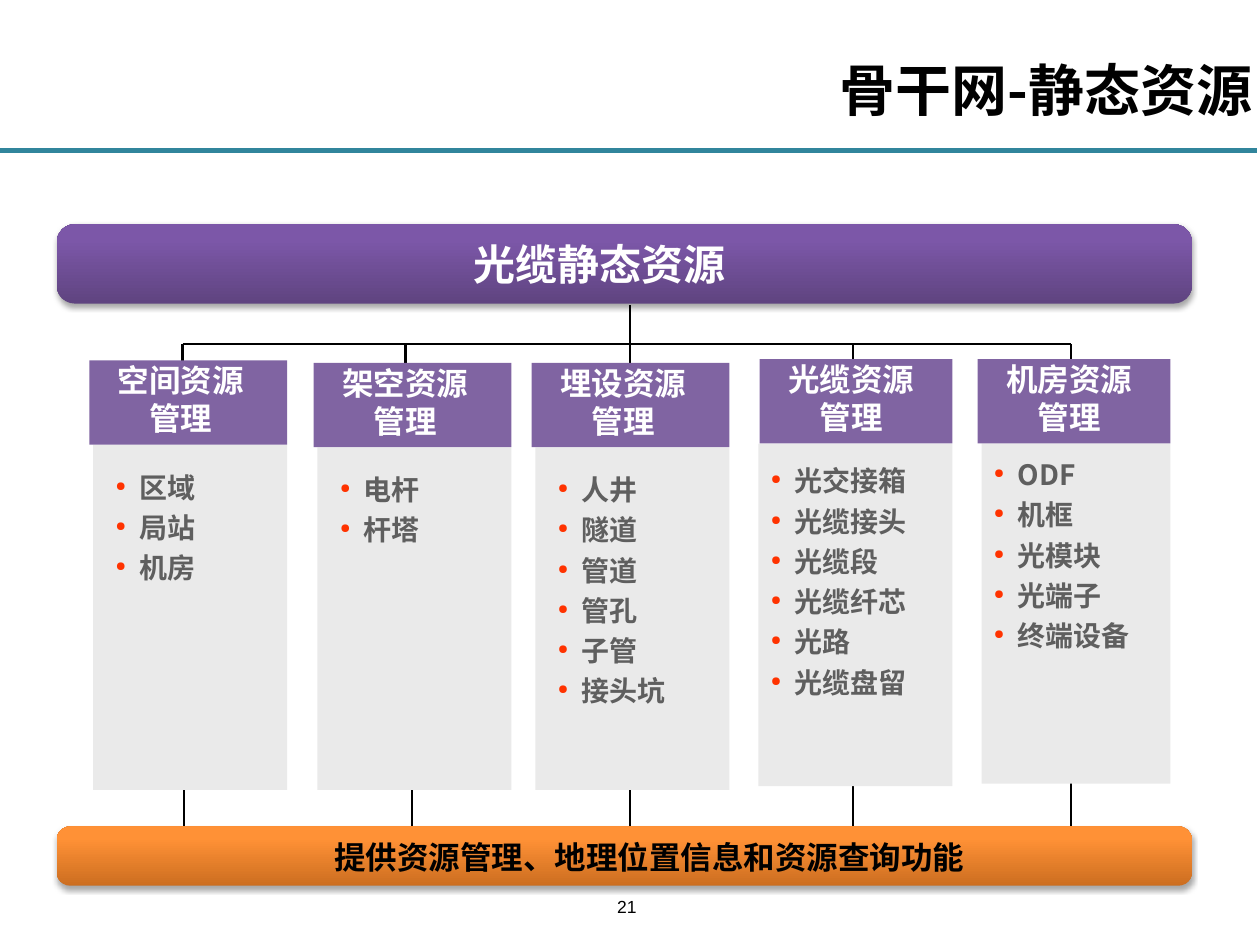
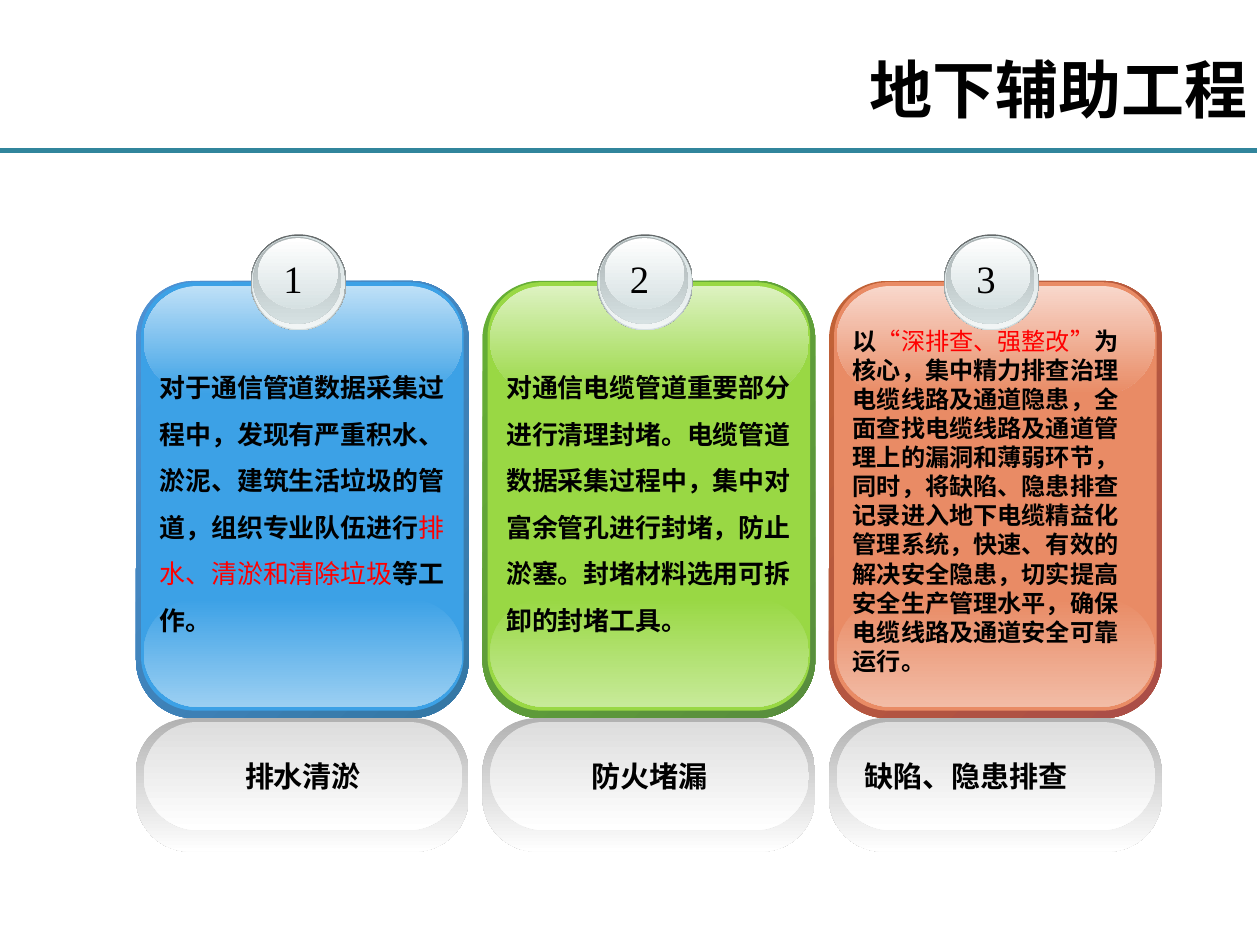
"""Build two slides on cable network assets and underground works."""
import dataclasses

import lxml.etree
import pptx
import pptx.dml.color
import pptx.enum.shapes
import pptx.enum.text
import pptx.oxml
import pptx.oxml.ns
import pptx.util

Inches = pptx.util.Inches
Pt = pptx.util.Pt
Kind = pptx.enum.shapes.MSO_SHAPE
Align = pptx.enum.text.PP_ALIGN
Anchor = pptx.enum.text.MSO_ANCHOR
qn = pptx.oxml.ns.qn


@dataclasses.dataclass(frozen=True)
class Theme:
    sans: str = "Noto Sans CJK SC"
    serif: str = "Times New Roman"
    plain: str = "Arial"
    black: str = "000000"
    white: str = "FFFFFF"
    red: str = "FF0000"
    rule: str = "31859C"
    head: str = "8064A2"
    body: str = "EAEAEA"
    item: str = "5F5F5F"
    dot: str = "FF3300"
    purple: tuple = ("5F4480", "7C57A8")
    orange: tuple = ("CC6E20", "FF9136")
    foot_rim: tuple = ("B2B2B2", "FFFFFF")
    foot_face: tuple = ("DDDDDD", "FFFFFF")
    bar_size: float = 24
    head_size: float = 18
    item_size: float = 16
    page_size: float = 10
    ball_size: float = 22.1
    foot_size: float = 16.6
    leading: float = 1.2


def tint(code):
    return pptx.dml.color.RGBColor.from_string(code)


def sub(parent, tag, **attrs):
    return lxml.etree.SubElement(parent, qn(tag), attrs)


def write(frame, text, size=18, color=Theme.black, bold=False, font=Theme.sans,
          align=Align.LEFT, anchor=Anchor.TOP, leading=None, dot=None, inset=(0.1, 0.05)):
    frame.word_wrap = True
    frame.auto_size = pptx.enum.text.MSO_AUTO_SIZE.NONE
    frame.vertical_anchor = anchor
    frame.margin_left = frame.margin_right = Inches(inset[0])
    frame.margin_top = frame.margin_bottom = Inches(inset[1])
    lines = [text] if isinstance(text, str) else text
    for index, line in enumerate(lines):
        para = frame.add_paragraph() if index else frame.paragraphs[0]
        para.alignment = align
        if leading:
            para.line_spacing = Pt(round(size * leading, 1))
        if dot:
            props = para._p.get_or_add_pPr()
            props.set("marL", str(Inches(0.19)))
            props.set("indent", str(-Inches(0.19)))
            sub(sub(props, "a:buClr"), "a:srgbClr", val=dot)
            sub(props, "a:buSzPct", val="47000")
            sub(props, "a:buChar", char="●")
        parts = [(line, color, bold)] if isinstance(line, str) else line
        for words, shade, heavy in parts:
            run = para.add_run()
            run.text = words
            run.font.size = Pt(size)
            run.font.bold = heavy
            run.font.name = font
            run.font.color.rgb = tint(shade)
            sub(run._r.get_or_add_rPr(), "a:ea", typeface=Theme.sans)


class Deck:
    def __init__(self):
        self.theme = Theme()
        self.file = pptx.Presentation()
        self.file.slide_width = Inches(10)
        self.file.slide_height = Inches(7.5)
        self.slide = None

    def start(self, title, box, size):
        self.slide = self.file.slides.add_slide(self.file.slide_layouts[5])
        self.line((0, 1.195), (9.98, 1.195), self.theme.rule, 3)
        holder = self.slide.shapes.title
        holder.left, holder.top, holder.width, holder.height = map(Inches, box)
        write(holder.text_frame, title, size=size, bold=True,
              align=Align.RIGHT, anchor=Anchor.MIDDLE)

    def line(self, begin, end, color=Theme.black, width=1.5):
        link = self.slide.shapes.add_connector(
            pptx.enum.shapes.MSO_CONNECTOR.STRAIGHT, *map(Inches, begin + end))
        link.line.color.rgb = tint(color)
        link.line.width = Pt(width)
        sub(link._element.spPr, "a:effectLst")

    def shape(self, box, fill, kind=Kind.RECTANGLE, curve=None, angle=90, reach=1):
        form = self.slide.shapes.add_shape(kind, *map(Inches, box))
        form.shadow.inherit = False
        form.line.fill.background()
        if curve is not None:
            form.adjustments[0] = curve
        if isinstance(fill, str):
            form.fill.solid()
            form.fill.fore_color.rgb = tint(fill)
        else:
            form.fill.gradient()
            form.fill.gradient_angle = 360 - angle
            for stop, color, place in zip(form.fill.gradient_stops, fill, (0, reach)):
                stop.color.rgb = tint(color)
                stop.position = place
        return form

    def text(self, box, words, **style):
        area = self.slide.shapes.add_textbox(*map(Inches, box))
        write(area.text_frame, words, **style)

    def bar(self, top, height, fill):
        form = self.shape((0.45, top, 9.01, height), fill, Kind.ROUNDED_RECTANGLE,
                          0.228, angle=270, reach=0.8)
        glow = sub(form._element.spPr.find(qn("a:effectLst")), "a:outerShdw",
                   blurRad=str(Pt(3.1)), dist=str(Pt(1.8)), dir="5400000", rotWithShape="0")
        sub(sub(glow, "a:srgbClr", val=self.theme.black), "a:alpha", val="35000")

    def column(self, name, items, left, top, wide, body, foot, pad, start):
        theme = self.theme
        base = top + 0.67
        edge = left + wide - body
        self.shape((edge, base, body, foot - base), theme.body)
        self.text((edge + pad, start, 1.48, 0.1 + 0.32 * len(items)), items,
                  size=theme.item_size, color=theme.item, bold=True,
                  leading=1.2 * theme.leading, dot=theme.dot)
        self.shape((left, top, wide, 0.67), theme.head)
        self.text((left + 0.04, top - 0.04, 1.37, 0.7), name, size=theme.head_size,
                  color=theme.white, bold=True, align=Align.CENTER, leading=theme.leading)

    def ball(self, left, digit):
        theme = self.theme
        rings = (
            (0.91, 1.86, 0.76, 0.76, "636869", "D6E1E2"),
            (0.92, 1.87, 0.74, 0.74, "D6E1E2", "F1F5F5"),
            (0.93, 1.88, 0.7, 0.69, "AAB2B3", "D6E1E2"),
            (0.97, 1.89, 0.63, 0.56, "FFFFFF", "D6E1E2"),
        )
        for shift, top, wide, high, *fill in rings:
            self.shape((left + shift, top, wide, high), fill, Kind.OVAL)
        self.text((left + 1.07, 1.97, 0.36, 0.54), str(digit),
                  size=theme.ball_size, font=theme.serif)

    def panel(self, left, digit, label, words, hues, top, size, leading, align):
        theme = self.theme
        rim, face, low, high = hues
        layers = (
            ((0, 2.23, 2.64, 3.47), rim, 0.175, 45),
            ((0.04, 2.24, 2.56, 3.4), face, 0.167, 90),
            ((0.06, 4.75, 2.53, 0.86), (face, low), 0.5, 90),
            ((0.06, 2.27, 2.53, 0.86), (high, face), 0.5, 90),
            ((0, 5.7, 2.64, 1.06), theme.foot_rim, 0.404, 90),
            ((0.06, 5.73, 2.53, 0.86), theme.foot_face, 0.5, 90),
        )
        for (shift, *rest), fill, curve, angle in layers:
            form = self.shape((left + shift, *rest), fill, Kind.ROUNDED_RECTANGLE, curve, angle)
        write(form.text_frame, label, size=theme.foot_size, font=theme.serif, bold=True,
              align=align, anchor=Anchor.MIDDLE)
        self.ball(left, digit)
        self.text((left + 0.09, top, 2.47, 5.6 - top), [words], size=size,
                  font=theme.serif, bold=True, leading=leading * theme.leading)


def assets(deck):
    theme = deck.theme
    deck.start("骨干网-静态资源", (2.44, 0.01, 7.6, 1.39), 32)
    deck.text((4.05, 7.03, 1.85, 0.3), "21", size=theme.page_size, font=theme.plain,
              align=Align.CENTER, anchor=Anchor.BOTTOM)
    deck.line((1.45, 2.73), (8.5, 2.73))
    deck.line((5, 2.42), (5, 2.73))
    for upper, lower in ((1.45, 1.46), (3.22, 3.27), (5, 5), (6.77, 6.77), (8.5, 8.5)):
        deck.line((upper, 2.73), (upper, 3.1))
        deck.line((lower, 6.2), (lower, 6.58))
    deck.bar(1.78, 0.63, theme.purple)
    deck.bar(6.56, 0.47, theme.orange)
    label = dict(bold=True, align=Align.CENTER, anchor=Anchor.MIDDLE, inset=(0.07, 0.04))
    deck.text((1.44, 1.85, 6.64, 0.49), "光缆静态资源", size=theme.bar_size,
              color=theme.white, **label)
    deck.text((2.24, 6.62, 5.83, 0.37), "提供资源管理、地理位置信息和资源查询功能",
              size=theme.head_size, **label)
    columns = (
        ("空间资源管理", ["区域", "局站", "机房"],
         0.71, 2.86, 1.57, 1.54, 6.27, 0.08, 3.63),
        ("架空资源管理", ["电杆", "杆塔"],
         2.49, 2.88, 1.57, 1.54, 6.27, 0.08, 3.65),
        ("埋设资源管理", ["人井", "隧道", "管道", "管孔", "子管", "接头坑"],
         4.22, 2.88, 1.57, 1.54, 6.27, 0.08, 3.65),
        ("光缆资源管理", ["光交接箱", "光缆接头", "光缆段", "光缆纤芯", "光路", "光缆盘留"],
         6.03, 2.85, 1.53, 1.54, 6.24, 0, 3.58),
        ("机房资源管理", ["ODF", "机框", "光模块", "光端子", "终端设备"],
         7.76, 2.85, 1.53, 1.5, 6.22, 0, 3.53),
    )
    for column in columns:
        deck.column(*column)


def works(deck):
    black, red = deck.theme.black, deck.theme.red
    deck.start("地下辅助工程", (1.66, 0, 8.34, 1.41), 36)
    panels = (
        ("排水清淤",
         [("对于通信管道数据采集过程中，发现有严重积水、淤泥、建筑生活垃圾的管道，"
           "组织专业队伍进行", black, True),
          ("排水、清淤和清除垃圾", red, False), ("等工作。", black, True)],
         (("4E91D4", "3477A4"), "3CA1E6", "9BCFF2", "BEE0F7"),
         2.78, 14.8, 1.5, Align.CENTER),
        ("防火堵漏",
         "对通信电缆管道重要部分进行清理封堵。电缆管道数据采集过程中，"
         "集中对富余管孔进行封堵，防止淤塞。封堵材料选用可拆卸的封堵工具。",
         (("66AF35", "588D3D"), "99D844", "C7EA99", "DDF2C1"),
         2.78, 14.8, 1.5, Align.CENTER),
        ("缺陷、隐患排查",
         [("以", black, True), ("“深排查、强整改”", red, False),
          ("为核心，集中精力排查治理电缆线路及通道隐患，全面查找电缆线路及通道管理上的"
           "漏洞和薄弱环节，同时，将缺陷、隐患排查记录进入地下电缆精益化管理系统，"
           "快速、有效的解决安全隐患，切实提高安全生产管理水平，"
           "确保电缆线路及通道安全可靠运行。", black, True)],
         (("C16237", "AB4E47"), "E98B65", "F2BCA6", "F8D8CC"),
         2.54, 13.8, 1, Align.LEFT),
    )
    for index, panel in enumerate(panels):
        deck.panel(1.08 + 2.75 * index, index + 1, *panel)


def main():
    deck = Deck()
    assets(deck)
    works(deck)
    deck.file.save("out.pptx")


if __name__ == "__main__":
    main()
